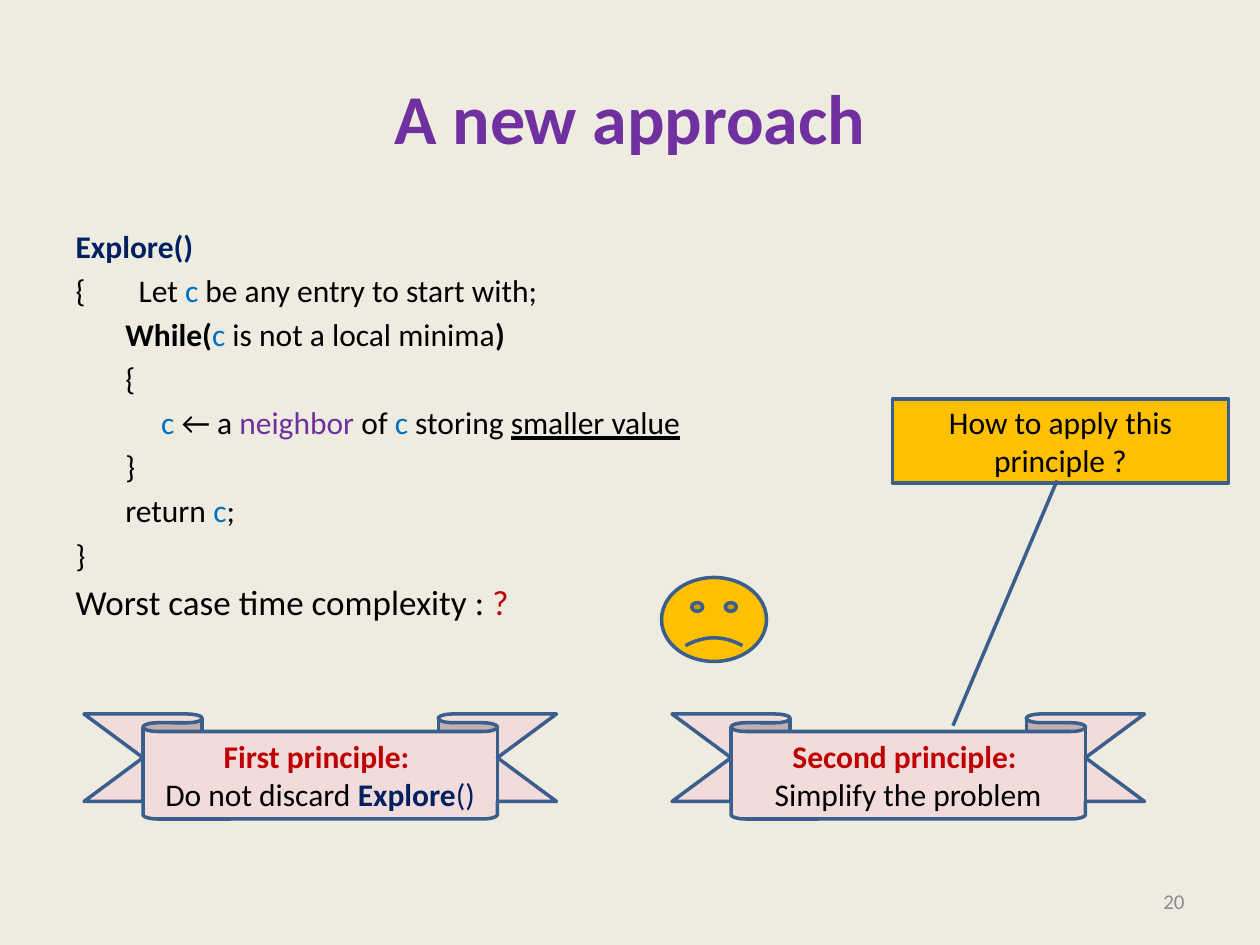
from dataclasses import dataclass

import lxml.etree
import pptx
import pptx.dml.color
import pptx.enum.shapes
import pptx.enum.text
import pptx.oxml.ns
import pptx.util

COLUMNS, ROWS = 120, 90
FONT = "Calibri"
BLACK, NAVY, BLUE, PURPLE, RED = "000000", "002060", "0070C0", "7030A0", "C00000"
CREAM, PINK, AMBER, OUTLINE, GREY = "EEECE1", "F2DCDB", "FFC000", "3A5F8C", "8C8C8C"
SHAPES = pptx.enum.shapes.MSO_SHAPE
ALIGN = pptx.enum.text.PP_ALIGN
MIDDLE = pptx.enum.text.MSO_ANCHOR.MIDDLE


@dataclass(frozen=True)
class Span:
    text: str
    color: str = BLACK
    bold: bool = False
    underline: bool = False
    size: int = 18


@dataclass(frozen=True)
class Area:
    """A rectangle in grid columns and rows."""
    column: float
    row: float
    columns: float
    rows: float


@dataclass(frozen=True)
class Figure:
    kind: pptx.enum.shapes.MSO_SHAPE
    area: Area
    fill: str
    adjustments: tuple[float, ...]
    lines: tuple[tuple[Span, ...], ...] = ()


CURRENT = Span("c", BLUE)
TITLE = ((Span("A new approach", PURPLE, bold=True, size=40),),)
NUMBER = ((Span("20", GREY, size=12),),)
ALGORITHM = (
    (Span("Explore()", NAVY, bold=True),),
    (Span("{\tLet "), CURRENT, Span(" be any entry to start with;")),
    (Span("       "), Span("While(", bold=True), CURRENT,
     Span(" is not a local minima"), Span(")", bold=True)),
    (Span("       {"),),
    (Span("            "), Span("c ", BLUE), Span("← a "), Span("neighbor", PURPLE),
     Span(" of "), CURRENT, Span(" storing "), Span("smaller value", underline=True)),
    (Span("       }"),),
    (Span("       return "), CURRENT, Span(";")),
    (Span("}"),),
    (Span("Worst case time complexity : ", size=20), Span("?", RED, size=20)),
)


def principle(column: float, heading: str, *advice: Span) -> Figure:
    lines = ((Span(heading, RED, bold=True),), advice)
    return Figure(SHAPES.DOWN_RIBBON, Area(column, 68, 45, 10), PINK, (0.167, 0.75), lines)


FIGURES = (
    principle(8, "First principle: ", Span("Do not discard "),
              Span("Explore", NAVY, bold=True), Span("()", NAVY)),
    Figure(SHAPES.SMILEY_FACE, Area(63, 55, 10, 8), AMBER, (-0.047,)),
    principle(64, "Second principle: ", Span("Simplify the problem")),
    Figure(SHAPES.LINE_CALLOUT_1, Area(85, 38, 32, 8), AMBER, (0.97, 0.49, 3.89, 0.18),
           ((Span("How to apply this principle ?"),),)),
)


def rgb(color: str) -> pptx.dml.color.RGBColor:
    return pptx.dml.color.RGBColor.from_string(color)


def box(area: Area) -> tuple[int, int, int, int]:
    unit_x = pptx.util.Inches(10) / COLUMNS
    unit_y = pptx.util.Inches(7.5) / ROWS
    return (round(area.column * unit_x), round(area.row * unit_y),
            round(area.columns * unit_x), round(area.rows * unit_y))


def move(shape, area: Area) -> None:
    shape.left, shape.top, shape.width, shape.height = box(area)


def write(frame, lines, align) -> None:
    frame.word_wrap = True
    frame.auto_size = pptx.enum.text.MSO_AUTO_SIZE.NONE
    for index, spans in enumerate(lines):
        paragraph = frame.paragraphs[0] if index == 0 else frame.add_paragraph()
        paragraph.alignment = align
        if index == 0:
            paragraph.space_before = pptx.util.Pt(0)
        for span in spans:
            run = paragraph.add_run()
            run.text = span.text
            run.font.name = FONT
            run.font.size = pptx.util.Pt(span.size)
            run.font.bold = span.bold
            run.font.underline = span.underline
            run.font.color.rgb = rgb(span.color)


def unbullet(paragraph, tab_position: int) -> None:
    """Remove bullet and indent, and set one tab stop for the opening brace."""
    properties = paragraph._p.get_or_add_pPr()
    properties.set("marL", "0")
    properties.set("indent", "0")
    qn = pptx.oxml.ns.qn
    lxml.etree.SubElement(properties, qn("a:buNone"))
    tabs = lxml.etree.SubElement(properties, qn("a:tabLst"))
    lxml.etree.SubElement(tabs, qn("a:tab"), pos=str(tab_position), algn="l")


def draw(slide, figure: Figure) -> None:
    shape = slide.shapes.add_shape(figure.kind, *box(figure.area))
    shape.shadow.inherit = False
    shape.fill.solid()
    shape.fill.fore_color.rgb = rgb(figure.fill)
    shape.line.color.rgb = rgb(OUTLINE)
    shape.line.width = pptx.util.Pt(2)
    for index, value in enumerate(figure.adjustments):
        shape.adjustments[index] = value
    if figure.lines:
        shape.text_frame.vertical_anchor = MIDDLE
        write(shape.text_frame, figure.lines, ALIGN.CENTER)


def main() -> None:
    deck = pptx.Presentation()
    deck.slide_width, deck.slide_height = pptx.util.Inches(10), pptx.util.Inches(7.5)
    slide = deck.slides.add_slide(deck.slide_layouts[1])
    slide.background.fill.solid()
    slide.background.fill.fore_color.rgb = rgb(CREAM)

    title, body = slide.shapes.title, slide.placeholders[1]
    move(title, Area(6, 3.6, 108, 15))
    write(title.text_frame, TITLE, ALIGN.CENTER)
    move(body, Area(6, 21, 108, 59.4))
    write(body.text_frame, ALGORITHM, ALIGN.LEFT)
    for paragraph in body.text_frame.paragraphs:
        unbullet(paragraph, pptx.util.Inches(0.36))

    number = slide.shapes.add_textbox(*box(Area(86, 83.4, 28, 4.8)))
    number.text_frame.vertical_anchor = MIDDLE
    write(number.text_frame, NUMBER, ALIGN.RIGHT)

    for figure in FIGURES:
        draw(slide, figure)
    deck.save("out.pptx")


if __name__ == "__main__":
    main()
